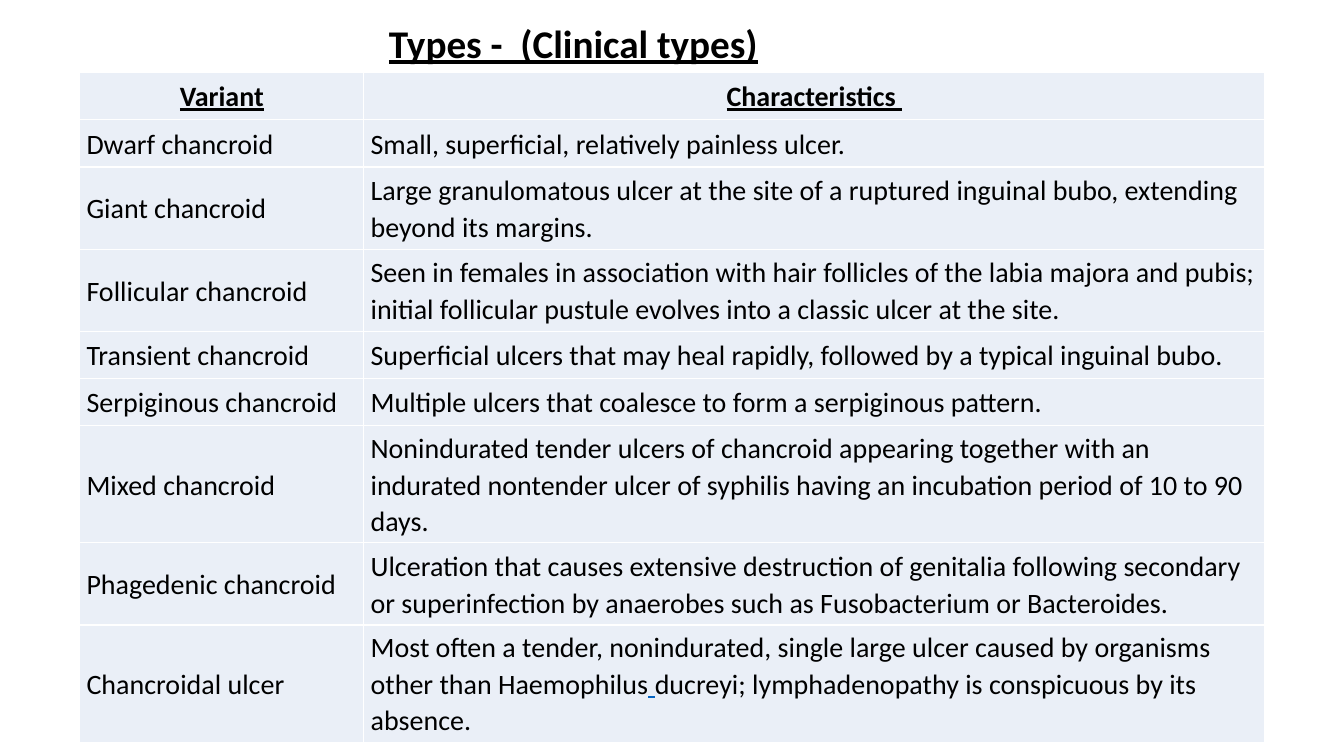
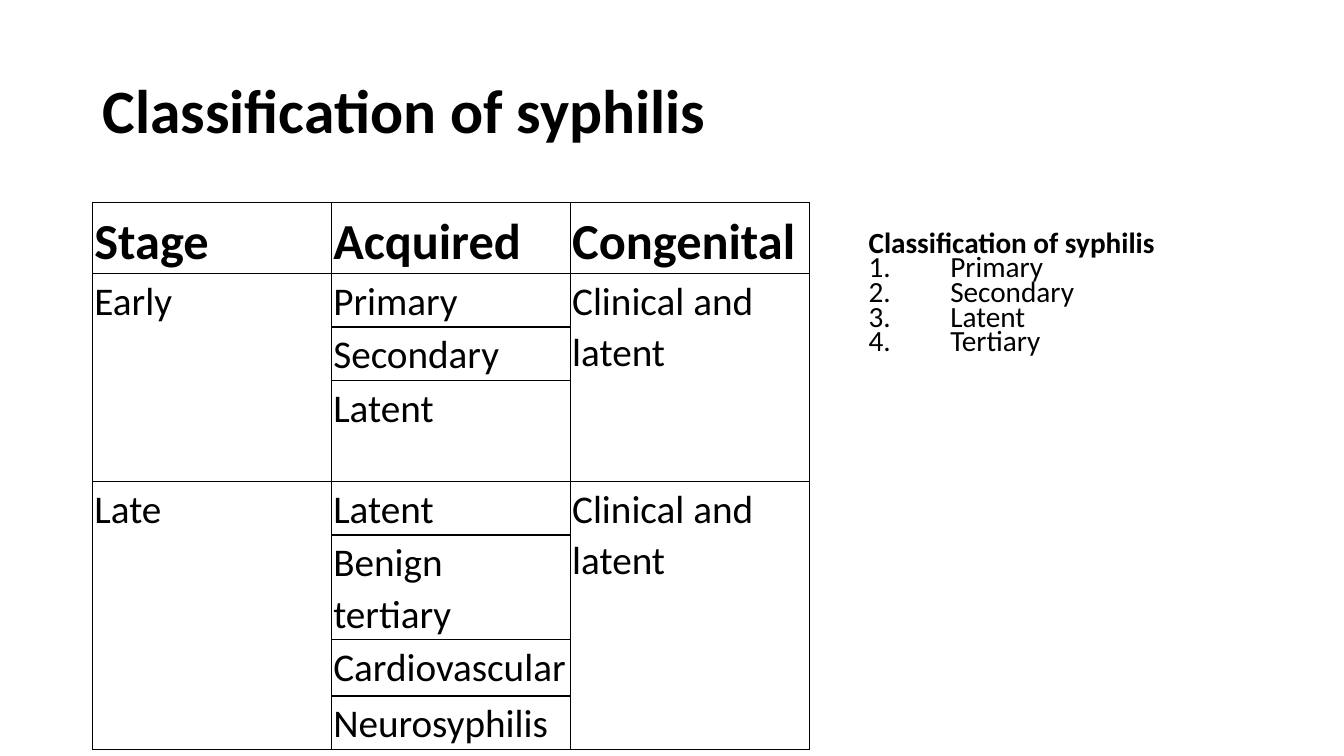
from lxml import etree
from pptx import Presentation
from pptx.dml.color import RGBColor
from pptx.enum import text
from pptx.oxml import ns
from pptx.util import Cm, Pt

FONT = "Calibri"
BLACK, WHITE, PALE_BLUE, LINK_BLUE = "000000", "FFFFFF", "EAEFF7", "0563C1"
LEFT, CENTER = text.PP_ALIGN.LEFT, text.PP_ALIGN.CENTER
TOP, MIDDLE, BOTTOM = (text.MSO_ANCHOR.TOP, text.MSO_ANCHOR.MIDDLE,
                       text.MSO_ANCHOR.BOTTOM)


def format_text(frame, size, bold=False, underline=False, spacing=None,
                align=LEFT, color=BLACK):
    for paragraph in frame.paragraphs:
        paragraph.alignment = align
        paragraph.line_spacing = spacing
        for run in paragraph.runs:
            font = run.font
            font.name, font.size = FONT, Pt(size)
            font.bold, font.underline = bold, underline
            font.color.rgb = RGBColor.from_string(color)


def format_cell(cell, anchor, margins, border, fill=None):
    """Set anchor, (side, top) margins in cm, 1 pt borders and fill."""
    cell.vertical_anchor = anchor
    cell.margin_left = cell.margin_right = Cm(margins[0])
    cell.margin_top = cell.margin_bottom = Cm(margins[1])
    properties = cell._tc.get_or_add_tcPr()
    for edge in ("a:lnL", "a:lnR", "a:lnT", "a:lnB"):
        line = etree.SubElement(properties, ns.qn(edge), w=str(Pt(1)))
        solid = etree.SubElement(line, ns.qn("a:solidFill"))
        etree.SubElement(solid, ns.qn("a:srgbClr"), val=border)
    if fill:
        cell.fill.solid()
        cell.fill.fore_color.rgb = RGBColor.from_string(fill)
    else:
        cell.fill.background()


presentation = Presentation()
presentation.slide_width, presentation.slide_height = Cm(33.87), Cm(19.05)
blank = presentation.slide_layouts[6]

# Slide 1: clinical types of chancroid
slide = presentation.slides.add_slide(blank)
variants = [  # name, characteristics, lines of text
    ("Variant", "Characteristics ", 1),
    ("Dwarf chancroid", "Small, superficial, relatively painless ulcer.", 1),
    ("Giant chancroid",
     "Large granulomatous ulcer at the site of a ruptured inguinal bubo, "
     "extending beyond its margins.", 2),
    ("Follicular chancroid",
     "Seen in females in association with hair follicles of the labia majora "
     "and pubis; initial follicular pustule evolves into a classic ulcer at "
     "the site.", 2),
    ("Transient chancroid",
     "Superficial ulcers that may heal rapidly, followed by a typical "
     "inguinal bubo.", 1),
    ("Serpiginous chancroid",
     "Multiple ulcers that coalesce to form a serpiginous pattern.", 1),
    ("Mixed chancroid",
     "Nonindurated tender ulcers of chancroid appearing together with an "
     "indurated nontender ulcer of syphilis having an incubation period of "
     "10 to 90 days.", 3),
    ("Phagedenic chancroid",
     "Ulceration that causes extensive destruction of genitalia following "
     "secondary or superinfection by anaerobes such as Fusobacterium or "
     "Bacteroides.", 2),
    ("Chancroidal ulcer",
     "Most often a tender, nonindurated, single large ulcer caused by "
     "organisms other than Haemophilus", 3),
]
heights = [0.31 + 0.88 * lines for *_, lines in variants]
table = slide.shapes.add_table(len(variants), 2, Cm(2.01), Cm(1.83),
                               Cm(29.87), Cm(sum(heights))).table
table.first_row = table.horz_banding = False
table.columns[0].width, table.columns[1].width = Cm(7.16), Cm(22.71)
for row, (*texts, _) in enumerate(variants):
    header = row == 0
    table.rows[row].height = Cm(heights[row])
    for column, words in enumerate(texts):
        cell = table.cell(row, column)
        cell.text_frame.text = words
        format_text(cell.text_frame, 20, header, header, 1.07,
                    CENTER if header else LEFT)
        format_cell(cell, MIDDLE, (0.17, 0.08), WHITE, PALE_BLUE)

ulcer_frame = table.cell(len(variants) - 1, 1).text_frame
ulcer_paragraph = ulcer_frame.paragraphs[0]
link_space = ulcer_paragraph.add_run()
link_space.text = " "
ulcer_paragraph.add_run().text = ("ducreyi; lymphadenopathy is conspicuous "
                                  "by its absence.")
format_text(ulcer_frame, 20, spacing=1.07)
link_space.font.underline = True
link_space.font.color.rgb = RGBColor.from_string(LINK_BLUE)

title = slide.shapes.add_textbox(Cm(9.55), Cm(0.36), Cm(9.93), Cm(1.45))
title.text_frame.word_wrap = False
title.text_frame.auto_size = text.MSO_AUTO_SIZE.SHAPE_TO_FIT_TEXT
title.text_frame.text = "Types -  (Clinical types)"
format_text(title.text_frame, 28, bold=True, underline=True)

# Slide 2: classification of syphilis
slide = presentation.slides.add_slide(blank)
title = slide.shapes.add_textbox(Cm(2.34), Cm(1.02), Cm(17.04), Cm(3.68))
title.text_frame.word_wrap = True
title.text_frame.vertical_anchor = MIDDLE
title.text_frame.text = "Classification of syphilis"
format_text(title.text_frame, 44, bold=True, spacing=0.9)

stages = [  # stage, acquired, congenital, row height
    ("Stage", "Acquired", "Congenital", 1.8),
    ("Early", "Primary", "Clinical and latent", 1.34),
    ("", "Secondary", "", 1.34),
    ("", "Latent", "", 2.56),
    ("Late", "Latent", "Clinical and latent", 1.34),
    ("", "Benign tertiary", "", 2.64),
    ("", "Cardiovascular", "", 1.42),
    ("", "Neurosyphilis", "", 1.34),
]
table = slide.shapes.add_table(len(stages), 3, Cm(2.34), Cm(5.1), Cm(18.06),
                               Cm(sum(row[-1] for row in stages))).table
table.first_row = table.horz_banding = False
for row, (*texts, height) in enumerate(stages):
    header = row == 0
    table.rows[row].height = Cm(height)
    for column, words in enumerate(texts):
        cell = table.cell(row, column)
        cell.text_frame.text = words
        format_text(cell.text_frame, 36 if header else 28, header,
                    spacing=1.07)
        format_cell(cell, BOTTOM if header else TOP, (0.04, 0.03), BLACK)
for column in (0, 2):
    for first, last in ((1, 3), (4, 7)):
        table.cell(first, column).merge(table.cell(last, column))

summary = slide.shapes.add_textbox(Cm(21.64), Cm(5.89), Cm(11.48), Cm(3.68))
frame = summary.text_frame
frame.word_wrap = True
frame.margin_top = 0
frame.text = "\n".join(["Classification of syphilis", "Primary", "Secondary",
                        "Latent", "Tertiary"])
for paragraph in frame.paragraphs[1:]:
    properties = paragraph._p.get_or_add_pPr()
    properties.set("marL", str(Cm(2.06)))
    properties.set("indent", str(-Cm(2.06)))
    etree.SubElement(properties, ns.qn("a:buFont"), typeface=FONT)
    etree.SubElement(properties, ns.qn("a:buAutoNum"), type="arabicPeriod")
format_text(frame, 20.9, spacing=0.7)
frame.paragraphs[0].runs[0].font.bold = True

presentation.save("out.pptx")
